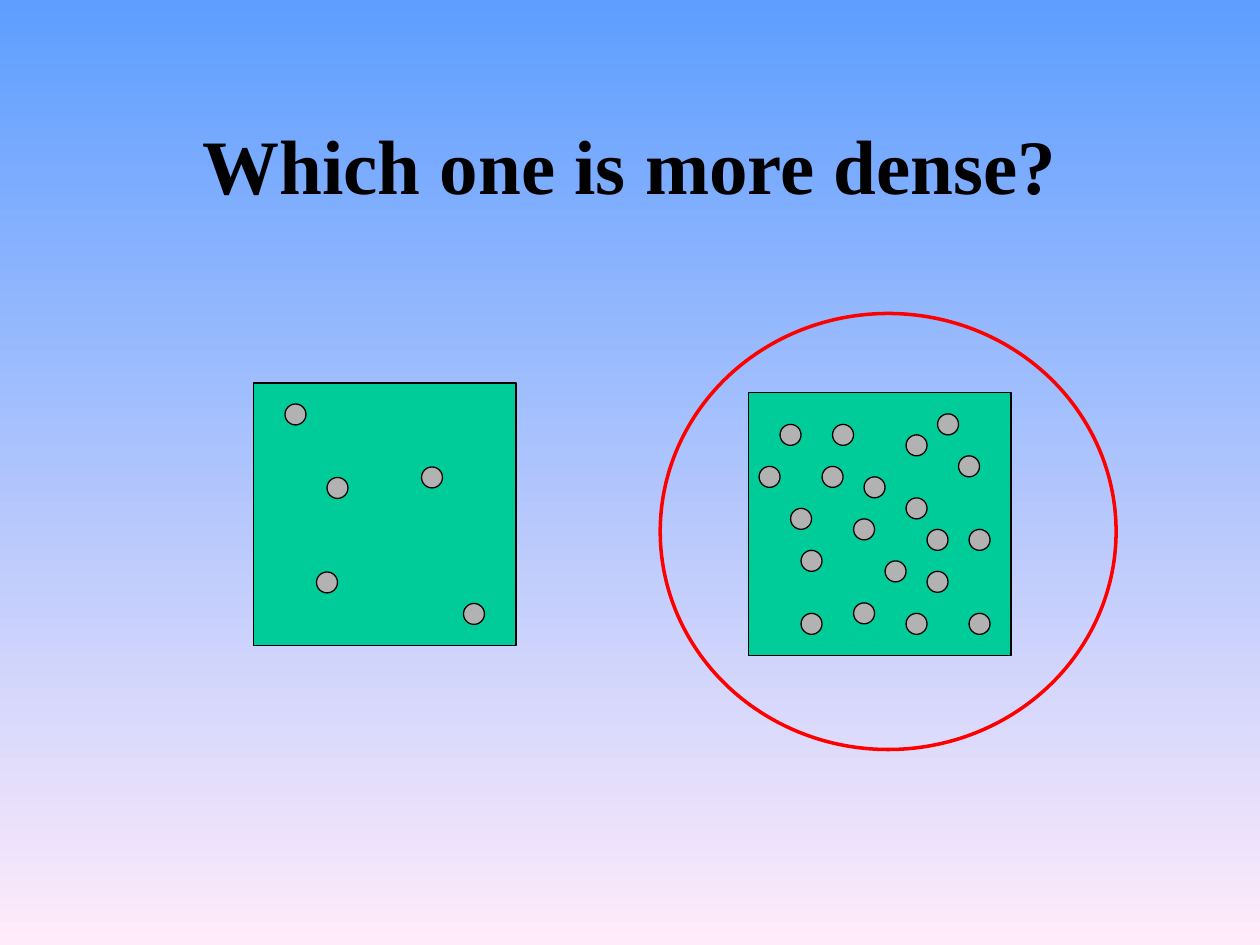
from pptx import Presentation
from pptx.dml.color import RGBColor
from pptx.enum.shapes import MSO_SHAPE as Kind
from pptx.enum.text import MSO_ANCHOR as Anchor, PP_ALIGN as Align
from pptx.util import Cm, Pt

# Content: dot places count grid steps from the corner of their box
TITLE = "Which one is more dense?"
BOXES = [
    {"at": (5.11, 7.72),
     "dots": [(3, 2), (6, 18), (16, 8), (20, 21), (7, 9)]},
    {"at": (15.09, 7.92),
     "dots": [(3, 3), (8, 3), (4, 11), (15, 4), (10, 20), (10, 12), (15, 10),
              (20, 6), (13, 16), (21, 13), (5, 21), (21, 21), (1, 7), (7, 7),
              (15, 21), (11, 8), (5, 15), (17, 13), (17, 17), (18, 2)]},
]
RING = (13.31, 6.32, 9.19, 8.79)
STEP = 2.54 / 12
BOX, DOT = 25 * STEP, 2 * STEP
HUES = {"sky": "5E9EFF", "pink": "FFEBFA", "box": "00CC99",
        "dot": "B2B2B2", "ink": "000000", "ring": "FF0000"}


def hue(name):
    return RGBColor.from_string(HUES[name])


def write(frame, text, size=44, bold=True, color="ink", align=Align.CENTER):
    frame.word_wrap = True
    frame.vertical_anchor = Anchor.MIDDLE
    para = frame.paragraphs[0]
    para.alignment = align
    run = para.add_run()
    run.text = text
    font = run.font
    font.name, font.size, font.bold = "Times New Roman", Pt(size), bold
    font.color.rgb = hue(color)


def draw(kind, x, y, w, h, fill=None, line="ink", width=0.75):
    shape = slide.shapes.add_shape(kind, Cm(x), Cm(y), Cm(w), Cm(h))
    shape.shadow.inherit = False
    if fill:
        shape.fill.solid()
        shape.fill.fore_color.rgb = hue(fill)
    else:
        shape.fill.background()
    shape.line.color.rgb = hue(line)
    shape.line.width = Pt(width)


deck = Presentation()
deck.slide_width, deck.slide_height = Cm(25.4), Cm(19.05)
slide = deck.slides.add_slide(deck.slide_layouts[5])

# Background
back = slide.background.fill
back.gradient()
back.gradient_angle = 270
for stop, name, place in zip(back.gradient_stops, ("sky", "pink"), (0, 1)):
    stop.color.rgb = hue(name)
    stop.position = place

# Title
title = slide.shapes.title
title.left, title.top = Cm(1.9), Cm(1.7)
title.width, title.height = Cm(21.6), Cm(3.18)
write(title.text_frame, TITLE)

# Boxes, then the dots inside them
for box in BOXES:
    draw(Kind.RECTANGLE, *box["at"], BOX, BOX, fill="box")
for box in BOXES:
    left, top = box["at"]
    for col, row in box["dots"]:
        draw(Kind.OVAL, left + col * STEP, top + row * STEP, DOT, DOT,
             fill="dot")

# Ring around the answer
draw(Kind.OVAL, *RING, line="ring", width=2)

deck.save("out.pptx")
